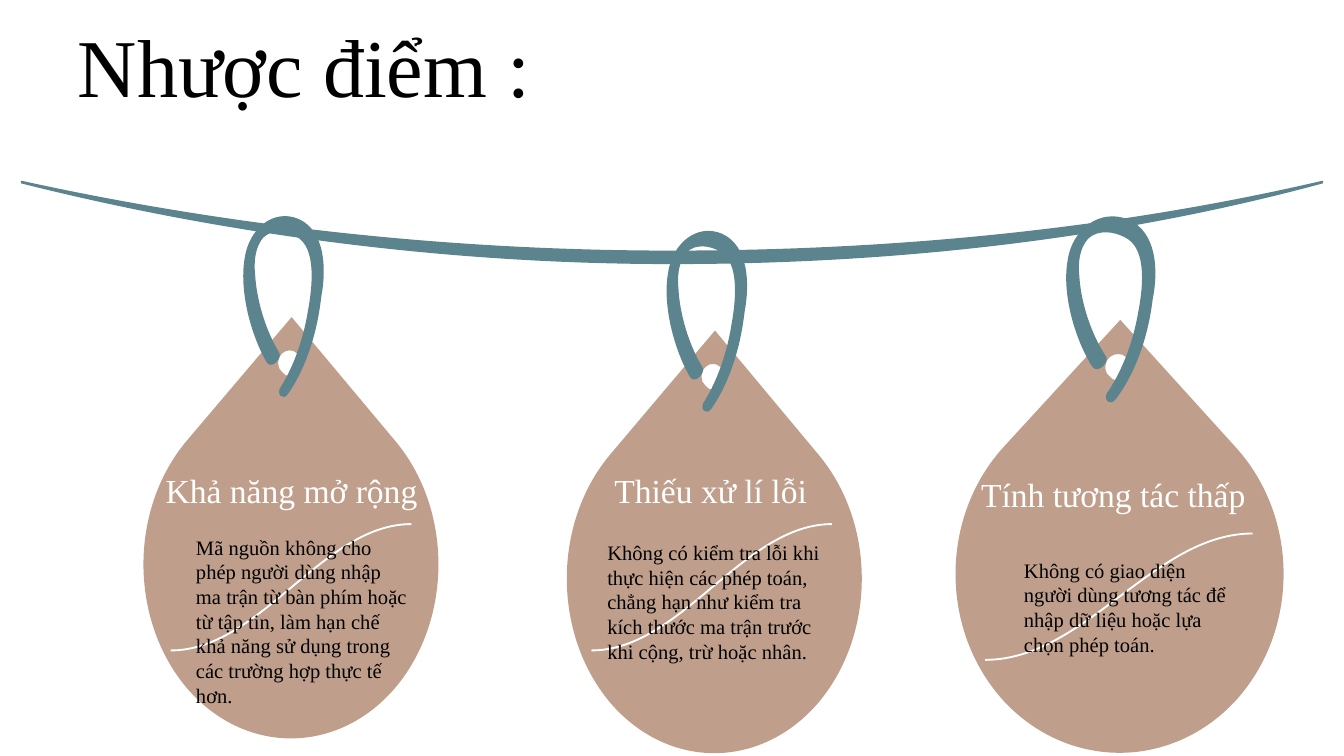
from pptx import Presentation
from pptx.dml.color import RGBColor
from pptx.enum.text import MSO_ANCHOR as Anchor, MSO_AUTO_SIZE as AutoSize, PP_ALIGN as Align
from pptx.oxml.ns import qn
from pptx.util import Inches, Pt
from lxml.etree import SubElement

TEAL = RGBColor(0x5C, 0x84, 0x8E)
CLAY = RGBColor(0xBF, 0x9F, 0x8B)
WHITE = RGBColor(0xFF, 0xFF, 0xFF)
BLACK = RGBColor(0, 0, 0)
FONT = "Times New Roman"
UNITS_PER_INCH = 100

TITLE_FORMAT = {"size": Pt(44), "name": FONT}
HEADING_FORMAT = {"size": Pt(18), "name": FONT}
DETAIL_FORMAT = {"size": Pt(11), "name": FONT}

ROPE = [[(16, 135), (175, 170), (340, 187), (500, 187),
         (660, 187), (825, 172), (984, 135),
         (984, 136), (984, 136), (984, 136),
         (825, 179), (660, 196), (500, 196),
         (340, 196), (175, 176), (16, 136)]]
DROP = [[(43, 92), (0, 143), (0, 225), (43, 276),
         (86, 326), (155, 326), (198, 276),
         (241, 225), (241, 143), (198, 92),
         (121, 0), (121, 0), (121, 0)],
        [(125, 41), (122, 45), (117, 45), (114, 41),
         (110, 38), (110, 31), (114, 27),
         (117, 24), (122, 24), (125, 27),
         (129, 31), (129, 38), (125, 41)]]
LOOP = [[(37, 138), (51, 118), (59, 92), (62, 66),
         (66, 45), (65, 17), (45, 8),
         (26, 0), (7, 15), (4, 38),
         (0, 62), (9, 95), (21, 115),
         (25, 120), (33, 111), (30, 107),
         (20, 91), (13, 68), (12, 49),
         (11, 40), (12, 29), (18, 22),
         (25, 15), (36, 17), (43, 21),
         (59, 29), (55, 60), (52, 76),
         (49, 95), (42, 116), (32, 132),
         (27, 138), (33, 144), (37, 138)]]
SWOOSH = [[(0, 94), (67, 94), (113, 0), (179, 0)]]

TAGS = [
    {"drop": (0.96, 2.36, 2.41, 3.26), "loop": (1.78, 1.55, 0.65, 1.44),
     "swoosh": (1.27, 3.9, 1.79, 0.94),
     "heading": ("Khả năng mở rộng", (1.2, 3.45, 1.94, 1.18)),
     "detail": ("Mã nguồn không cho phép người dùng nhập ma trận từ bàn phím hoặc "
                "từ tập tin, làm hạn chế khả năng sử dụng trong các trường hợp "
                "thực tế hơn.", (1.36, 3.93, 1.79, 1.4))},
    {"drop": (4.11, 2.46, 2.41, 3.27), "loop": (4.93, 1.66, 0.65, 1.44),
     "swoosh": (4.4, 3.9, 1.79, 0.94),
     "heading": ("Thiếu xử lí lỗi ", (4.35, 3.45, 1.94, 1.18)),
     "detail": ("Không có kiểm tra lỗi khi thực hiện các phép toán, chẳng hạn như "
                "kiểm tra kích thước ma trận trước khi cộng, trừ hoặc nhân.",
                (4.42, 3.97, 1.79, 1.03))},
    {"drop": (6.99, 2.38, 2.68, 3.35), "loop": (7.9, 1.55, 0.72, 1.48),
     "swoosh": (7.33, 3.97, 1.99, 0.94),
     "heading": ("Tính tương tác thấp", (7.38, 3.48, 1.81, 1.36)),
     "detail": ("Không có giao diện người dùng tương tác để nhập dữ liệu hoặc lựa "
                "chọn phép toán.", (7.52, 4.1, 1.72, 0.84))},
]


def place(shape, box):
    for side, length in zip(("left", "top", "width", "height"), box):
        setattr(shape, side, Inches(length))


def bend_segments(outline):
    for contour in outline._element.iter(qn("a:path")):
        controls = []
        for step in list(contour):
            if step.tag != qn("a:lnTo"):
                controls = []
                continue
            controls.append(step)
            if len(controls) == 3:
                curve = SubElement(contour, qn("a:cubicBezTo"))
                contour.replace(controls[0], curve)
                for control in controls:
                    curve.append(control[0])
                for spent in controls[1:]:
                    contour.remove(spent)
                controls = []


def add_outline(slide, contours, box, fill=None, line=None, weight=1, closed=True):
    builder = slide.shapes.build_freeform(
        *contours[0][0], scale=Inches(1) / UNITS_PER_INCH)
    for index, (start, *controls) in enumerate(contours):
        if index:
            builder.move_to(*start)
        builder.add_line_segments(controls, close=closed)
    outline = builder.convert_to_shape()
    bend_segments(outline)
    place(outline, box)
    outline.shadow.inherit = False
    if fill is None:
        outline.fill.background()
    else:
        outline.fill.solid()
        outline.fill.fore_color.rgb = fill
    if line is None:
        outline.line.fill.background()
    else:
        outline.line.color.rgb = line
        outline.line.width = Pt(weight)


def write(frame, words, font_format, color):
    paragraph = frame.paragraphs[0]
    run = paragraph.add_run()
    run.text = words
    for attribute, value in font_format.items():
        setattr(run.font, attribute, value)
    run.font.color.rgb = color
    return paragraph


def add_title(slide, words):
    title = slide.shapes.title
    place(title, (0.48, 0.15, 8.62, 1.09))
    title.text_frame.auto_size = AutoSize.NONE
    title.text_frame.vertical_anchor = Anchor.TOP
    paragraph = write(title.text_frame, words, TITLE_FORMAT, BLACK)
    paragraph.alignment = Align.LEFT
    paragraph.line_spacing = 0.9


def add_label(slide, words, box, font_format, color, align, wrap, auto_size):
    label = slide.shapes.add_textbox(*map(Inches, box))
    label.text_frame.word_wrap = wrap
    label.text_frame.auto_size = auto_size
    write(label.text_frame, words, font_format, color).alignment = align


def add_tag(slide, tag):
    add_outline(slide, DROP, tag["drop"], fill=CLAY)
    add_outline(slide, LOOP, tag["loop"], fill=TEAL)
    add_outline(slide, SWOOSH, tag["swoosh"], line=WHITE, closed=False)
    add_label(slide, *tag["heading"], HEADING_FORMAT, WHITE,
              Align.CENTER, False, AutoSize.NONE)
    add_label(slide, *tag["detail"], DETAIL_FORMAT, BLACK,
              Align.LEFT, True, AutoSize.SHAPE_TO_FIT_TEXT)


def main():
    deck = Presentation()
    deck.slide_width = Inches(10)
    deck.slide_height = Inches(10 * 9 / 16)
    slide = deck.slides.add_slide(deck.slide_layouts[5])
    add_title(slide, "Nhược điểm :")
    add_outline(slide, ROPE, (0.16, 1.35, 9.68, 0.61), TEAL, TEAL, 0.75)
    for tag in TAGS:
        add_tag(slide, tag)
    deck.save("out.pptx")


if __name__ == "__main__":
    main()
